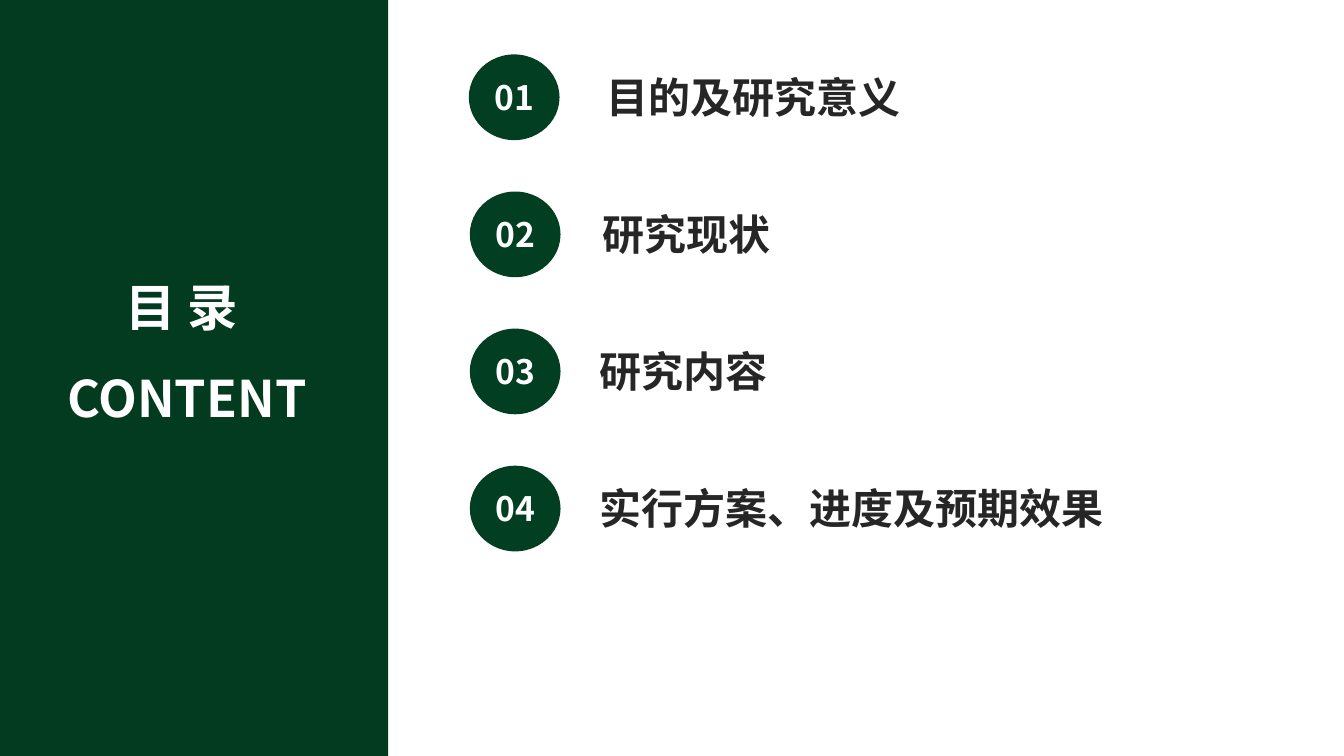
from dataclasses import dataclass

from lxml import etree
from pptx import Presentation
from pptx.dml.color import RGBColor
from pptx.enum.shapes import MSO_SHAPE
from pptx.enum.text import MSO_ANCHOR, MSO_AUTO_SIZE, PP_ALIGN
from pptx.oxml.ns import qn
from pptx.util import Inches, Pt

RECTANGLE, OVAL = MSO_SHAPE.RECTANGLE, MSO_SHAPE.OVAL
TOP, MIDDLE = MSO_ANCHOR.TOP, MSO_ANCHOR.MIDDLE
LEFT, CENTER = PP_ALIGN.LEFT, PP_ALIGN.CENTER
GROW, FIXED = MSO_AUTO_SIZE.SHAPE_TO_FIT_TEXT, MSO_AUTO_SIZE.NONE

FONT = "Noto Sans CJK SC"
COLOURS = {"panel": "023B1F", "badge": "023E22", "light": "FFFFFF", "dark": "262626"}
FIRST_TOP, ROW_PITCH = 0.54, 1.36
BADGE_WIDTH, BADGE_HEIGHT = 0.9, 0.85
LABEL_DROP, LABEL_HEIGHT = 0.12, 0.6


@dataclass(frozen=True)
class Chapter:
    title: str
    badge_left: float
    label_left: float
    label_width: float


CHAPTERS = [
    Chapter("目的及研究意义", 4.65, 5.92, 4.04),
    Chapter("研究现状", 4.66, 5.88, 4.81),
    Chapter("研究内容", 4.66, 5.85, 4.12),
    Chapter("实行方案、进度及预期效果", 4.66, 5.85, 5.35),
]


def colour(name: str) -> RGBColor:
    return RGBColor.from_string(COLOURS[name])


def write_para(para, text: str, size: int, ink: str, align) -> None:
    """Write one bold run, with the font set for Latin and Chinese."""
    para.alignment = align
    span = para.add_run()
    span.text = text
    for name, value in {"name": FONT, "size": Pt(size), "bold": True}.items():
        setattr(span.font, name, value)
    span.font.color.rgb = colour(ink)
    east_asian = etree.SubElement(span.font._element, qn("a:ea"))
    east_asian.set("typeface", FONT)


def format_frame(frame, anchor, auto_size) -> None:
    settings = {"word_wrap": True, "vertical_anchor": anchor, "auto_size": auto_size}
    for name, value in settings.items():
        setattr(frame, name, value)


def add_filled(shapes, kind, left: float, top: float, width: float, height: float, fill: str):
    shape = shapes.add_shape(kind, Inches(left), Inches(top), Inches(width), Inches(height))
    shape.shadow.inherit = False
    shape.fill.solid()
    shape.fill.fore_color.rgb = colour(fill)
    shape.line.fill.background()
    return shape


def place_title(page, panel) -> None:
    title = page.shapes.title
    bounds = {"left": 0.29, "top": 2.39, "width": 3.02, "height": 1.83}
    for name, value in bounds.items():
        setattr(title, name, Inches(value))
    frame = title.text_frame
    format_frame(frame, TOP, GROW)
    heading, subheading = frame.paragraphs[0], frame.add_paragraph()
    for para, text in ((heading, "目 录"), (subheading, "CONTENT")):
        para.line_spacing = 1.5
        write_para(para, text, 36, "light", CENTER)
    # Indent the second line slightly
    subheading._p.get_or_add_pPr().set("marL", str(Inches(0.11)))
    # Bring the title in front of the panel
    panel.element.addnext(title.element)


def add_chapter(page, index: int, chapter: Chapter) -> None:
    top = FIRST_TOP + index * ROW_PITCH
    group = page.shapes.add_group_shape()
    badge = add_filled(group.shapes, OVAL, chapter.badge_left, top,
                       BADGE_WIDTH, BADGE_HEIGHT, "badge")
    format_frame(badge.text_frame, MIDDLE, FIXED)
    write_para(badge.text_frame.paragraphs[0], f"{index + 1:02d}", 24, "light", CENTER)
    label = group.shapes.add_textbox(Inches(chapter.label_left), Inches(top + LABEL_DROP),
                                     Inches(chapter.label_width), Inches(LABEL_HEIGHT))
    format_frame(label.text_frame, TOP, GROW)
    write_para(label.text_frame.paragraphs[0], chapter.title, 30, "dark", LEFT)


def main() -> None:
    deck = Presentation()
    deck.slide_width, deck.slide_height = Inches(13.33), Inches(7.5)
    page = deck.slides.add_slide(deck.slide_layouts[5])

    # Side panel with the title
    panel = add_filled(page.shapes, RECTANGLE, -0.06, 0, 3.91, 7.5, "panel")
    place_title(page, panel)

    # Numbered chapters
    for index, chapter in enumerate(CHAPTERS):
        add_chapter(page, index, chapter)

    deck.save("out.pptx")


if __name__ == "__main__":
    main()
